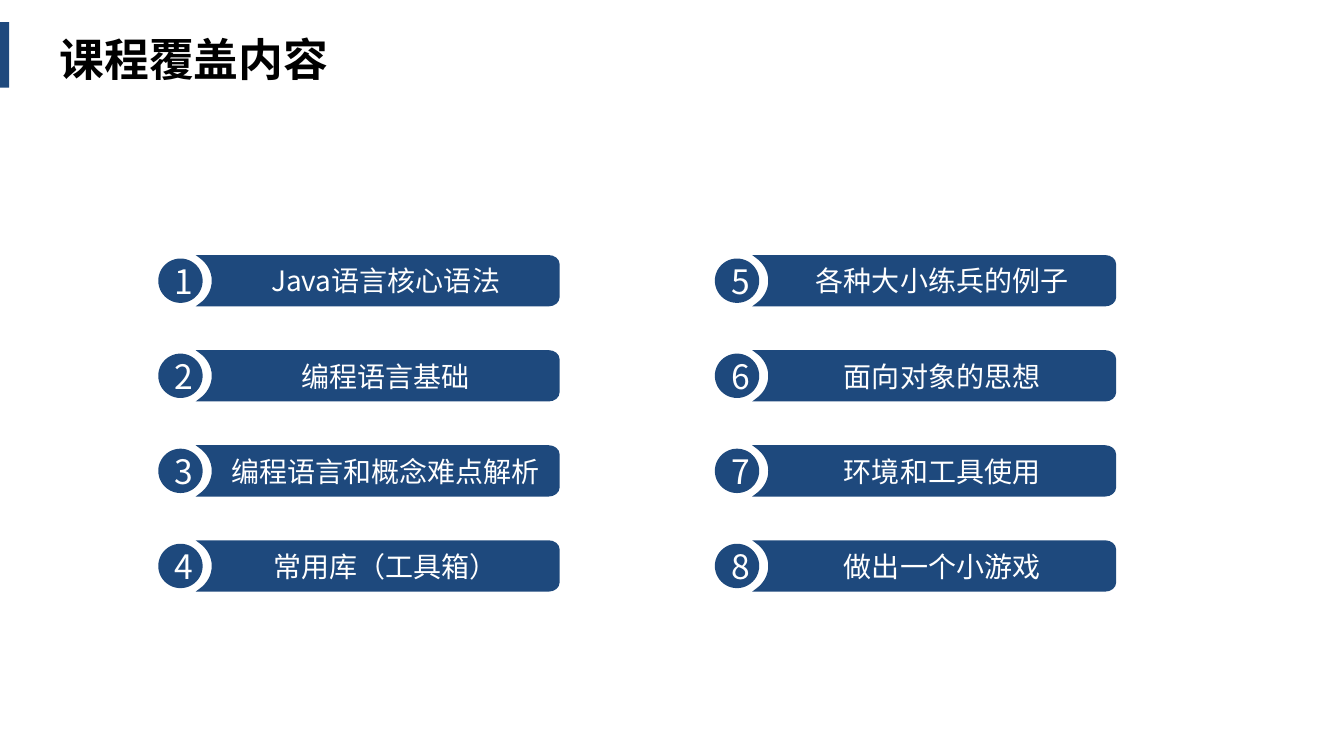
from lxml import etree
from pptx import Presentation
from pptx.dml.color import RGBColor
from pptx.enum.shapes import MSO_SHAPE
from pptx.enum.text import MSO_ANCHOR, MSO_AUTO_SIZE, PP_ALIGN
from pptx.oxml.ns import qn
from pptx.util import Inches, Pt

RECT, OVAL = MSO_SHAPE.RECTANGLE, MSO_SHAPE.OVAL
TOP, MIDDLE = MSO_ANCHOR.TOP, MSO_ANCHOR.MIDDLE
LEFT, CENTER = PP_ALIGN.LEFT, PP_ALIGN.CENTER
FIT_SHAPE = MSO_AUTO_SIZE.SHAPE_TO_FIT_TEXT

COLORS = {"navy": "1E497D", "white": "FFFFFF", "black": "000000"}
FONT = "Noto Sans CJK SC"
TITLE = "课程覆盖内容"
TOPICS = [
    ["Java语言核心语法", "编程语言基础", "编程语言和概念难点解析", "常用库（工具箱）"],
    ["各种大小练兵的例子", "面向对象的思想", "环境和工具使用", "做出一个小游戏"],
]
COLUMN_LEFTS = [1.57, 7.09]
FIRST_TOP, LAST_TOP = 2.53, 5.36
BAR_OFFSET, BAR_W, BAR_H = 0.37, 3.61, 0.51
BADGE = 0.44
BAR_MARGINS = {"margin_left": Inches(0.2), "margin_right": Inches(0.04),
               "margin_top": Inches(0.04), "margin_bottom": Inches(0.04)}
BAR_SEGMENTS = "LCLCLLCC"  # L is a line, C a curve with two control points


def rgb(name):
    return RGBColor.from_string(COLORS[name])


def paint(shape, color="navy"):
    shape.shadow.inherit = False
    shape.fill.solid()
    shape.fill.fore_color.rgb = rgb(color)
    shape.line.fill.background()


def write(shape, text, size, color="white", bold=False, align=CENTER, **frame):
    tf = shape.text_frame
    for name, value in {"word_wrap": True, "vertical_anchor": MIDDLE, **frame}.items():
        setattr(tf, name, value)
    p = tf.paragraphs[0]
    p.alignment = align
    r = p.add_run()
    r.text = text
    for name, value in {"name": FONT, "size": Pt(size), "bold": bold}.items():
        setattr(r.font, name, value)
    r.font.color.rgb = rgb(color)
    ea = r.font._element.makeelement(qn("a:ea"), {"typeface": FONT})
    r.font._element.find(qn("a:latin")).addnext(ea)


def bar_outline(w, h):
    """Bar with rounded right corners and a round bite on the left."""
    corner = [(w - 0.11, 0), (w - 0.05, 0), (w, 0.04), (w, 0.09)]
    bite = [(0.16, h / 2), (0.16, 0.16), (0.11, 0.08), (0.04, 0.03)]
    upper = [(0, 0)] + corner
    lower = [(x, h - y) for x, y in reversed(upper)]
    lower_bite = [(x, h - y) for x, y in reversed(bite)]
    return upper + lower + lower_bite + bite[1:]


def bend(shape, segments):
    """Merge three line steps into one cubic curve for each C in segments."""
    steps = list(shape._element.iter(qn("a:lnTo")))
    for kind in segments:
        step = steps.pop(0)
        if kind == "C":
            cubic = etree.Element(qn("a:cubicBezTo"))
            step.addprevious(cubic)
            for part in (step, steps.pop(0), steps.pop(0)):
                cubic.append(part[0])
                part.getparent().remove(part)


def add_header(s, left, top):
    accent = s.shapes.add_shape(RECT, Inches(-0.01), Inches(top), Inches(0.1), Inches(0.65))
    paint(accent)
    title = s.shapes.title
    box = {"left": left, "top": top + 0.04, "width": 4.95, "height": 0.64}
    for name, value in box.items():
        setattr(title, name, Inches(value))
    write(title, TITLE, 32, "black", True, LEFT, vertical_anchor=TOP, auto_size=FIT_SHAPE)


def add_topic(s, number, text, left, top):
    group = s.shapes.add_group_shape()
    points = [(Inches(left + BAR_OFFSET + x), Inches(top + y))
              for x, y in bar_outline(BAR_W, BAR_H)]
    builder = group.shapes.build_freeform(*points[0])
    builder.add_line_segments(points[1:], close=True)
    bar = builder.convert_to_shape()
    bend(bar, BAR_SEGMENTS)
    paint(bar)
    write(bar, text, 20, **BAR_MARGINS)
    badge = group.shapes.add_shape(OVAL, Inches(left), Inches(top + (BAR_H - BADGE) / 2),
                                   Inches(BADGE), Inches(BADGE))
    paint(badge)
    write(badge, str(number), 24)


def add_topics(s):
    for col, (left, topics) in enumerate(zip(COLUMN_LEFTS, TOPICS)):
        pitch = (LAST_TOP - FIRST_TOP) / (len(topics) - 1)
        for row, text in enumerate(topics):
            add_topic(s, col * len(topics) + row + 1, text, left, FIRST_TOP + row * pitch)


def main():
    prs = Presentation()
    prs.slide_width, prs.slide_height = Inches(13.33), Inches(7.5)
    s = prs.slides.add_slide(prs.slide_layouts.get_by_name("Title Only"))
    add_header(s, 0.49, 0.22)
    add_topics(s)
    prs.save("out.pptx")


if __name__ == "__main__":
    main()
